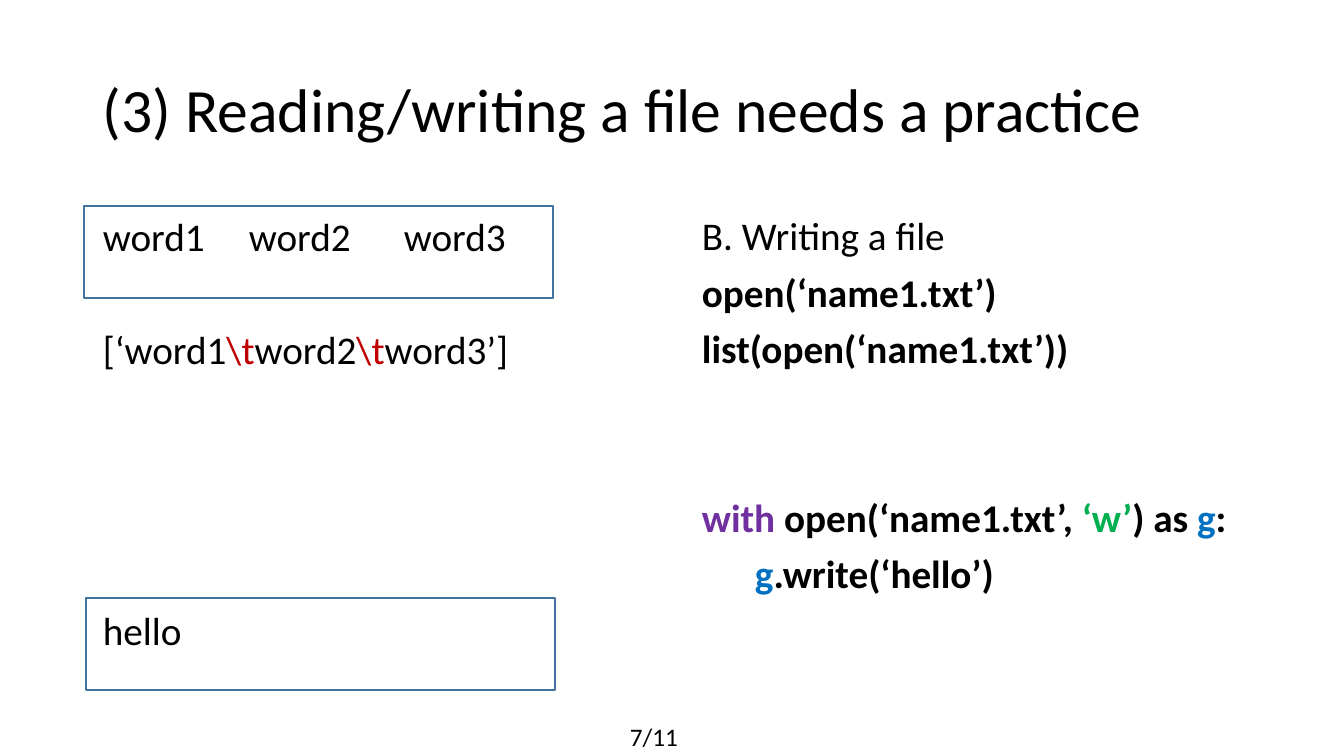
from lxml import etree
from pptx import Presentation
from pptx.dml.color import RGBColor
from pptx.enum.shapes import MSO_SHAPE
from pptx.enum.text import MSO_ANCHOR
from pptx.oxml.ns import qn
from pptx.util import Emu, Pt

BLACK = RGBColor(0x00, 0x00, 0x00)
RED = RGBColor(0xC0, 0x00, 0x00)
PURPLE = RGBColor(0x70, 0x30, 0xA0)
GREEN = RGBColor(0x00, 0xB0, 0x50)
BLUE = RGBColor(0x00, 0x70, 0xC0)
FRAME_BLUE = RGBColor(0x43, 0x73, 0x9E)

SPACE_BEFORE = 10  # points
LINE_PITCH = 40.2  # points from one body line to the next


def px(length):
    return Emu(round(length * 914400 / 100.8))


def add_text(box, lines, size, line_spacing=0.9, anchor=MSO_ANCHOR.TOP):
    """Add a text box; each line is (skipped lines, bold, [(text, colour), ...])."""
    frame = slide.shapes.add_textbox(*map(px, box)).text_frame
    frame.word_wrap = True
    frame.vertical_anchor = anchor
    for index, (skipped, bold, runs) in enumerate(lines):
        paragraph = frame.paragraphs[0] if index == 0 else frame.add_paragraph()
        paragraph.line_spacing = line_spacing
        if index:
            paragraph.space_before = Pt(SPACE_BEFORE + skipped * LINE_PITCH)
        for text, colour in runs:
            run = paragraph.add_run()
            run.text = text
            run.font.color.rgb = colour
            for name, value in {"name": "Calibri", "size": Pt(size), "bold": bold}.items():
                setattr(run.font, name, value)
    return frame


presentation = Presentation()
presentation.slide_width = px(1344)
presentation.slide_height = px(756)
slide = presentation.slides.add_slide(presentation.slide_layouts[6])

add_text((93, 40, 1159, 146),
         [(0, False, [("(3) Reading/writing a file needs a practice", BLACK)])],
         44, anchor=MSO_ANCHOR.MIDDLE)

code_lines = [
    (0, False, [("B. Writing a file", BLACK)]),
    (0, True, [("open(‘name1.txt’)", BLACK)]),
    (0, True, [("list(open(‘name1.txt’))", BLACK)]),
    (2, True, [("with", PURPLE), (" open(‘name1.txt’, ", BLACK), ("‘w’", GREEN),
               (") as ", BLACK), ("g", BLUE), (":", BLACK)]),
    (0, True, [("      ", BLACK), ("g", BLUE), (".write(‘hello’)", BLACK)]),
]
add_text((692, 212, 712, 480), code_lines, 28)

file_lines = [
    (0, False, [("word1\tword2\tword3", BLACK)]),
    (1, False, [("[‘word1", BLACK), ("\\t", RED), ("word2", BLACK),
                ("\\t", RED), ("word3’]", BLACK)]),
    (4, False, [("hello", BLACK)]),
]
file_frame = add_text((93, 213, 712, 480), file_lines, 28)
words_properties = file_frame.paragraphs[0]._p.get_or_add_pPr()
tab_list = etree.SubElement(words_properties, qn("a:tabLst"))
for position in (146, 301):
    etree.SubElement(tab_list, qn("a:tab"), pos=str(px(position)), algn="l")

add_text((620, 716, 72, 40), [(0, False, [("7/11", BLACK)])], 18, line_spacing=1.0)

for left, top in ((84, 206), (86, 598)):
    file_border = slide.shapes.add_shape(
        MSO_SHAPE.RECTANGLE, px(left), px(top), px(469), px(92))
    file_border.shadow.inherit = False
    file_border.fill.background()
    file_border.line.color.rgb = FRAME_BLUE
    file_border.line.width = Pt(1.5)

presentation.save("out.pptx")
